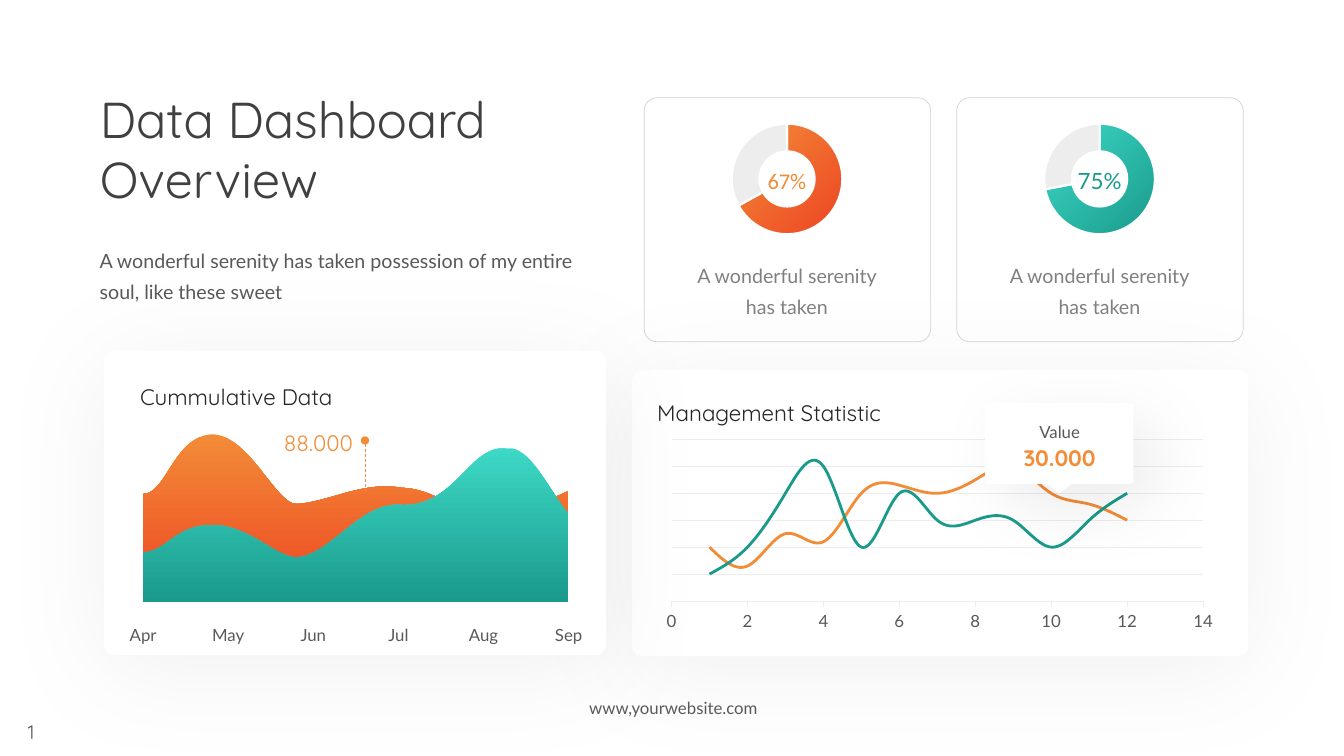
from pptx import Presentation
from pptx.chart.data import CategoryChartData, XyChartData
from pptx.dml.color import RGBColor
from pptx.enum.chart import XL_CHART_TYPE as ChartType, XL_TICK_MARK as Tick
from pptx.enum.dml import MSO_LINE as Dash
from pptx.enum.shapes import MSO_CONNECTOR as Connector, MSO_SHAPE as Shape
from pptx.enum.text import MSO_ANCHOR as Anchor, MSO_AUTO_SIZE as AutoSize, PP_ALIGN as Align
from pptx.oxml import parse_xml
from pptx.oxml.ns import nsdecls, qn
from pptx.util import Inches, Pt

WHITE = RGBColor(0xFF, 0xFF, 0xFF)
INK = RGBColor(0x26, 0x26, 0x26)
TITLE_GRAY = RGBColor(0x40, 0x40, 0x40)
TEXT_GRAY = RGBColor(0x59, 0x59, 0x59)
CAPTION_GRAY = RGBColor(0x80, 0x80, 0x80)
OUTLINE = RGBColor(0xD2, 0xD2, 0xD2)
PALE = RGBColor(0xED, 0xED, 0xED)
ORANGE = RGBColor(0xF3, 0x8C, 0x37)
RED = RGBColor(0xED, 0x45, 0x23)
MINT = RGBColor(0x3E, 0xDA, 0xC8)
TEAL = RGBColor(0x1A, 0x9A, 0x8B)

# Outlines in inches: a pair is a line end, six numbers are a curve
ORANGE_AREA = [
    (1.42, 4.9), (1.65, 4.9, 1.72, 4.34, 2.09, 4.31), (2.46, 4.29, 2.73, 5, 2.94, 5),
    (3.27, 4.98, 3.59, 4.77, 3.99, 4.84), (4.39, 4.85, 4.75, 5.25, 5, 5.25),
    (5.16, 5.24, 5.32, 5.04, 5.53, 4.92), (5.64, 4.87), (5.64, 5.97), (1.42, 5.97)]
TEAL_AREA = [
    (1.42, 5.48), (1.65, 5.48, 1.72, 5.22, 2.09, 5.21), (2.46, 5.2, 2.73, 5.53, 2.94, 5.53),
    (3.27, 5.52, 3.57, 4.98, 3.97, 5.01), (4.52, 5.04, 4.66, 4.4, 5.02, 4.45),
    (5.04, 4.45, 5.06, 4.45, 5.08, 4.45), (5.26, 4.48, 5.42, 4.8, 5.59, 5.04),
    (5.64, 5.1), (5.64, 5.97), (1.42, 5.97)]
CALLOUT = [
    (9.8, 4), (11.21, 4), (11.23, 4, 11.24, 4.01, 11.24, 4.03), (11.24, 4.77),
    (11.24, 4.79, 11.23, 4.8, 11.21, 4.8), (10.63, 4.8), (10.51, 4.89), (10.38, 4.8),
    (9.8, 4.8), (9.78, 4.8, 9.77, 4.79, 9.77, 4.77), (9.77, 4.03),
    (9.77, 4.01, 9.78, 4, 9.8, 4)]


def style(para, size, font, color, align=Align.LEFT, bold=False):
    para.alignment = align
    para.font.size = Pt(size)
    para.font.name = font
    para.font.bold = bold
    para.font.color.rgb = color


def add_text(page, place, text, size, font, color, align=Align.LEFT, spacing=1.3,
             anchor=Anchor.TOP, bold=False, wrap=True):
    box = page.shapes.add_textbox(*map(Inches, place))
    frame = box.text_frame
    frame.word_wrap = wrap
    frame.vertical_anchor = anchor
    para = frame.paragraphs[0]
    para.text = text
    para.line_spacing = spacing
    style(para, size, font, color, align, bold)
    return para


def add_page_number(page):
    para = add_text(page, (0, 7.09, 0.62, 0.34), "", 14, "Quicksand", TEXT_GRAY,
                    Align.CENTER, 1.0)
    para._p.append(parse_xml(
        f'<a:fld {nsdecls("a")} id="{{B6F15528-21DE-4FAA-801E-634DDDAF4B2B}}" '
        'type="slidenum"><a:rPr lang="en-US"/><a:t>1</a:t></a:fld>'))


def fill_gradient(fill, colors, angle):
    fill.gradient()
    fill.gradient_angle = 360 - angle  # counted counter-clockwise
    for stop, color in zip(fill.gradient_stops, colors):
        stop.color.rgb = color


def add_shadow(shape, blur, distance, direction, percent):
    shape.shadow.inherit = False
    shape._element.spPr.find(qn("a:effectLst")).append(parse_xml(
        f'<a:outerShdw {nsdecls("a")} blurRad="{Pt(blur)}" dist="{Pt(distance)}" '
        f'dir="{direction * 60000}" algn="t" rotWithShape="0"><a:srgbClr val="000000">'
        f'<a:alpha val="{percent * 1000}"/></a:srgbClr></a:outerShdw>'))


def add_card(page, place, radius, outlined=False):
    card = page.shapes.add_shape(Shape.ROUNDED_RECTANGLE, *map(Inches, place))
    card.adjustments[0] = radius
    if outlined:
        card.shadow.inherit = False
        card.fill.background()
        card.line.color.rgb = OUTLINE
        card.line.width = Pt(0.5)
    else:
        card.fill.solid()
        card.fill.fore_color.rgb = WHITE
        card.line.fill.background()
        add_shadow(card, 80, 10, 90, 6)


def add_outline(page, segments):
    corners = [(Inches(part[i]), Inches(part[i + 1]))
               for part in segments for i in range(0, len(part), 2)]
    builder = page.shapes.build_freeform(*corners[0])
    builder.add_line_segments(corners[1:], close=True)
    shape = builder.convert_to_shape()
    # Join each run of three points that belongs to a curve
    steps = iter(shape._element.findall(".//" + qn("a:lnTo")))
    for part in segments[1:]:
        step = next(steps)
        if len(part) == 6:
            step.tag = qn("a:cubicBezTo")
            for _ in range(2):
                extra = next(steps)
                step.append(extra[0])
                extra.getparent().remove(extra)
    shape.shadow.inherit = False
    shape.line.fill.background()
    return shape


def add_chart(page, kind, place, data, size, plot_place):
    chart = page.shapes.add_chart(kind, *map(Inches, place), data).chart
    chart.has_title = False
    chart.has_legend = False
    chart.font.name = "Lato"
    chart.font.size = Pt(size)
    chart.font.color.rgb = TEXT_GRAY
    area = chart._chartSpace.chart.plotArea
    for old in area.findall(qn("c:layout")):
        area.remove(old)
    sides = "".join(f'<c:{name} val="{value}"/>' for name, value in zip("xywh", plot_place))
    area.insert(0, parse_xml(
        f'<c:layout {nsdecls("c")}><c:manualLayout><c:layoutTarget val="inner"/>'
        f'<c:xMode val="edge"/><c:yMode val="edge"/>{sides}</c:manualLayout></c:layout>'))
    return chart


def add_gauge(page, left, share, label, font, colors, label_color):
    add_card(page, (left, 0.97, 2.84, 2.42), 0.052, outlined=True)
    add_text(page, (left + 0.27, 2.5, 2.29, 0.7), "A wonderful serenity has taken",
             14, "Lato", CAPTION_GRAY, Align.CENTER)
    data = CategoryChartData()
    data.categories = ["1", "2"]
    data.add_series("Series 1", (share, 100 - share))
    chart = add_chart(page, ChartType.DOUGHNUT, (left + 0.72, 1.18, 1.38, 1.18), data, 10,
                      (0.04, 0.04, 0.93, 0.93))
    chart._chartSpace.find(".//" + qn("c:holeSize")).set("val", "60")
    filled, rest = (chart.plots[0].series[0].points[i].format for i in range(2))
    fill_gradient(filled.fill, colors, 45)
    rest.fill.solid()
    rest.fill.fore_color.rgb = PALE
    for part in (filled, rest):
        part.line.color.rgb = WHITE
        part.line.width = Pt(1.5)
    add_text(page, (left + 0.97, 1.54, 0.89, 0.42), label, 16, font, label_color,
             Align.CENTER, anchor=Anchor.MIDDLE)


def name_points(series):
    """Mark the horizontal values as text, so points are spaced by their order."""
    values = series._element.find(qn("c:xVal"))
    for old, new in (("c:numRef", "c:strRef"), ("c:numCache", "c:strCache")):
        values.find(".//" + qn(old)).tag = qn(new)
    for code in values.findall(".//" + qn("c:formatCode")):
        code.getparent().remove(code)


def smooth(series):
    for old in series._element.findall(qn("c:smooth")):
        series._element.remove(old)
    series._element.append(parse_xml(f'<c:smooth {nsdecls("c")} val="1"/>'))


def add_statistic(page):
    add_card(page, (6.27, 3.67, 6.11, 2.84), 0.034)
    add_text(page, (6.42, 3.83, 5.81, 0.45), "Management Statistic", 16, "Quicksand", INK)
    data = XyChartData()
    for name, values in (
            ("Series 1", (20, 40, 80, 100, 40, 80, 60, 60, 60, 40, 60, 80)),
            ("Series 2", (40, 26, 50, 44, 80, 86, 80, 90, 100, 80, 72, 60))):
        series = data.add_series(name)
        for number, value in enumerate(values, 1):
            series.add_data_point(f"Point {number}", value)
    chart = add_chart(page, ChartType.XY_SCATTER_SMOOTH_NO_MARKERS, (6.49, 4.32, 5.67, 1.98),
                      data, 12, (0.03, 0.02, 0.93, 0.81))
    for series, color in zip(chart.plots[0].series, (TEAL, ORANGE)):
        name_points(series)
        smooth(series)
        series.format.line.color.rgb = color
        series.format.line.width = Pt(2)
    across, up = chart.category_axis, chart.value_axis
    for axis, top, step in ((across, 14, 2), (up, 120, 20)):
        axis.minimum_scale, axis.maximum_scale, axis.major_unit = 0, top, step
    across.has_major_gridlines = False
    across.major_tick_mark = Tick.OUTSIDE
    up.visible = False
    up.has_major_gridlines = True
    for lines in (across.format.line, up.major_gridlines.format.line):
        lines.color.rgb = PALE
        lines.width = Pt(0.75)
    # Value callout
    callout = add_outline(page, CALLOUT)
    callout.fill.solid()
    callout.fill.fore_color.rgb = WHITE
    add_shadow(callout, 50, 20, 45, 7)
    add_text(page, (9.85, 4.28, 1.32, 0.43), "30.000", 16, "Quicksand", ORANGE,
             Align.CENTER, bold=True)
    add_text(page, (9.85, 4.07, 1.32, 0.36), "Value", 12, "Lato", TEXT_GRAY, Align.CENTER)


def add_cumulative(page):
    add_card(page, (1.03, 3.48, 4.98, 3.02), 0.034)
    add_text(page, (1.29, 3.67, 3.31, 0.41), "Cummulative Data", 16, "Quicksand", INK)
    for area, colors in ((ORANGE_AREA, (ORANGE, RED)), (TEAL_AREA, (MINT, TEAL))):
        fill_gradient(add_outline(page, area).fill, colors, 90)
    for i, month in enumerate(("Apr", "May", "Jun", "Jul", "Aug", "Sep")):
        add_text(page, (1.15 + i * 0.844, 6.09, 0.54, 0.29), month, 12, "Lato", TEXT_GRAY,
                 Align.CENTER, wrap=False)
    # Marked value
    add_text(page, (2.53, 4.13, 1.07, 0.41), "88.000", 16, "Quicksand", ORANGE, Align.RIGHT)
    marker = page.shapes.add_connector(Connector.STRAIGHT, Inches(3.62), Inches(4.37),
                                       Inches(3.62), Inches(4.88))
    marker.line.color.rgb = ORANGE
    marker.line.width = Pt(0.5)
    marker.line.dash_style = Dash.DASH
    marker.line._ln.append(parse_xml(f'<a:headEnd {nsdecls("a")} type="oval"/>'))
    marker._element.spPr.append(parse_xml(f'<a:effectLst {nsdecls("a")}/>'))


def add_title(page):
    title = page.shapes.title
    title.left, title.top, title.width, title.height = map(Inches, (0.89, 0.82, 4.13, 1.31))
    title.text = "Data Dashboard Overview"
    title.text_frame.auto_size = AutoSize.NONE
    title.text_frame.vertical_anchor = Anchor.TOP
    style(title.text_frame.paragraphs[0], 36, "Quicksand", TITLE_GRAY)


def main():
    deck = Presentation()
    deck.slide_width, deck.slide_height = Inches(13.33), Inches(7.5)
    page = deck.slides.add_slide(deck.slide_layouts[5])
    add_page_number(page)
    add_statistic(page)
    add_gauge(page, 6.39, 67, "67%", "Calibri", (ORANGE, RED), ORANGE)
    add_gauge(page, 9.49, 72, "75%", "Lato", (MINT, TEAL), TEAL)
    add_title(page)
    add_text(page, (0.89, 2.35, 5.04, 0.69), "A wonderful serenity has taken possession of my "
             "entire soul, like these sweet", 14, "Lato", TEXT_GRAY)
    add_cumulative(page)
    add_text(page, (5.46, 6.87, 2.44, 0.3), "www,yourwebsite.com", 12, "Lato", TEXT_GRAY,
             Align.CENTER, 1.0)
    deck.save("out.pptx")


if __name__ == "__main__":
    main()
